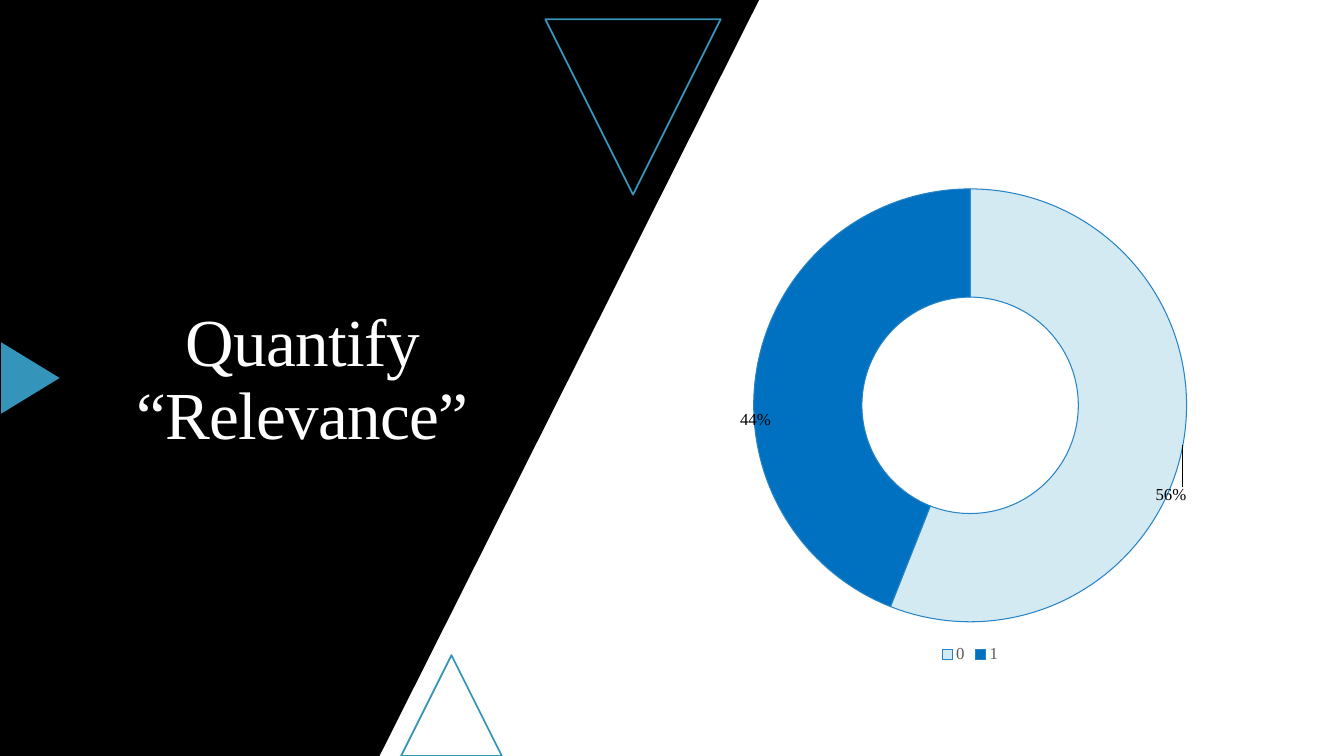
from pptx import Presentation
from pptx.util import Pt
from pptx.dml.color import RGBColor
from pptx.chart.data import CategoryChartData as Data
from pptx.enum.chart import XL_CHART_TYPE as Kind, XL_LEGEND_POSITION as Side
from pptx.enum.shapes import MSO_SHAPE as Form
from pptx.enum.text import PP_ALIGN as Align, MSO_ANCHOR as Anchor
from pptx.oxml import parse_xml
from pptx.oxml.ns import qn, nsdecls

BLACK = RGBColor(0x00, 0x00, 0x00)
WHITE = RGBColor(0xFF, 0xFF, 0xFF)
TEAL = RGBColor(0x34, 0x94, 0xBA)
PALE = RGBColor(0xD4, 0xEA, 0xF3)
BLUE = RGBColor(0x00, 0x70, 0xC0)
EDGE = RGBColor(0x26, 0x83, 0xC6)
GRAY = RGBColor(0x59, 0x59, 0x59)
FACE = "Times New Roman"

LABEL = """<c:dLbl %s><c:idx val="%d"/>
<c:layout><c:manualLayout><c:x val="%s"/><c:y val="%s"/></c:manualLayout></c:layout>
<c:showLegendKey val="0"/><c:showVal val="0"/><c:showCatName val="0"/>
<c:showSerName val="0"/><c:showPercent val="1"/><c:showBubbleSize val="0"/></c:dLbl>"""
FRAME = """<c:layout %s><c:manualLayout><c:layoutTarget val="inner"/>
<c:xMode val="edge"/><c:yMode val="edge"/><c:x val="%s"/><c:y val="%s"/>
<c:w val="%s"/><c:h val="%s"/></c:manualLayout></c:layout>"""


def style(font, size, color):
    font.name = FACE
    font.size = Pt(size)
    font.color.rgb = color


def write(slide, text, box, size=48, color=WHITE, align=Align.CENTER, space=0.9, track=-50):
    frame = slide.shapes.add_textbox(*map(Pt, box)).text_frame
    frame.word_wrap = True
    frame.vertical_anchor = Anchor.MIDDLE
    para = frame.paragraphs[0]
    para.alignment = align
    para.line_spacing = space
    run = para.add_run()
    run.text = text
    style(run.font, size, color)
    run.font._element.set("spc", str(track))


def paint(shape, fill=None, line=None):
    shape.shadow.inherit = False
    if fill is None:
        shape.fill.background()
    else:
        shape.fill.solid()
        shape.fill.fore_color.rgb = fill
    if line is None:
        shape.line.fill.background()
    else:
        shape.line.color.rgb = line
        shape.line.width = Pt(1.25)


def wedge(slide, box, turn=0, **look):
    shape = slide.shapes.add_shape(Form.ISOSCELES_TRIANGLE, *map(Pt, box))
    shape.rotation = turn
    paint(shape, **look)


def panel(slide, box):
    left, top, wide, high = box
    pen = slide.shapes.build_freeform(Pt(left), Pt(top))
    pen.add_line_segments([
        (Pt(left + wide), Pt(top)),
        (Pt(left + wide / 2), Pt(top + high)),
        (Pt(left), Pt(top + high)),
    ])
    paint(pen.convert_to_shape(), fill=BLACK)
    wedge(slide, (left + 286.5, top + high - 72, 72, 72), line=TEAL)
    wedge(slide, (left + 389.5, top + 13.7, 125.3, 125.3), turn=180, line=TEAL)
    wedge(slide, (left - 3.8, top + 249.1, 51, 41.8), turn=90, fill=TEAL)
    write(slide, "Quantify “Relevance”", (left + 43.2, top + 154.1, 345.6, 236.2))


def ring(slide, box):
    data = Data()
    data.categories = ["0", "1"]
    data.add_series("Series 1", (56, 44))
    chart = slide.shapes.add_chart(Kind.DOUGHNUT, *map(Pt, box), data).chart
    style(chart.font, 10, BLACK)
    chart.has_title = False
    chart.has_legend = True
    legend = chart.legend
    legend.position = Side.BOTTOM
    legend.include_in_layout = False
    style(legend.font, 12, GRAY)

    plot = chart.plots[0]
    plot.vary_by_categories = True
    plot._element.find(qn("c:holeSize")).set("val", "84")
    area = chart._chartSpace.chart.plotArea
    for old in area.findall(qn("c:layout")):
        area.remove(old)
    area.insert(0, parse_xml(FRAME % (nsdecls("c"), 0.03, 0.03, 0.94, 0.88)))

    series = plot.series[0]
    for spot, color in enumerate((PALE, BLUE)):
        part = series.points[spot].format
        part.fill.solid()
        part.fill.fore_color.rgb = color
        part.line.color.rgb = EDGE
        part.line.width = Pt(0.75)
    labels = series.data_labels
    labels.show_percentage = True
    labels.show_value = False
    style(labels.font, 12, BLACK)
    for spot, (right, down) in enumerate(((0.09, 0.12), (-0.12, 0.09))):
        labels._element.insert(spot, parse_xml(LABEL % (nsdecls("c"), spot, right, down)))


def main():
    deck = Presentation()
    deck.slide_width, deck.slide_height = Pt(960), Pt(540)
    slide = deck.slides.add_slide(deck.slide_layouts[6])
    panel(slide, (0, 0, 542.2, 540))
    ring(slide, (528.5, 123.8, 329, 352.8))
    deck.save("out.pptx")


if __name__ == "__main__":
    main()
